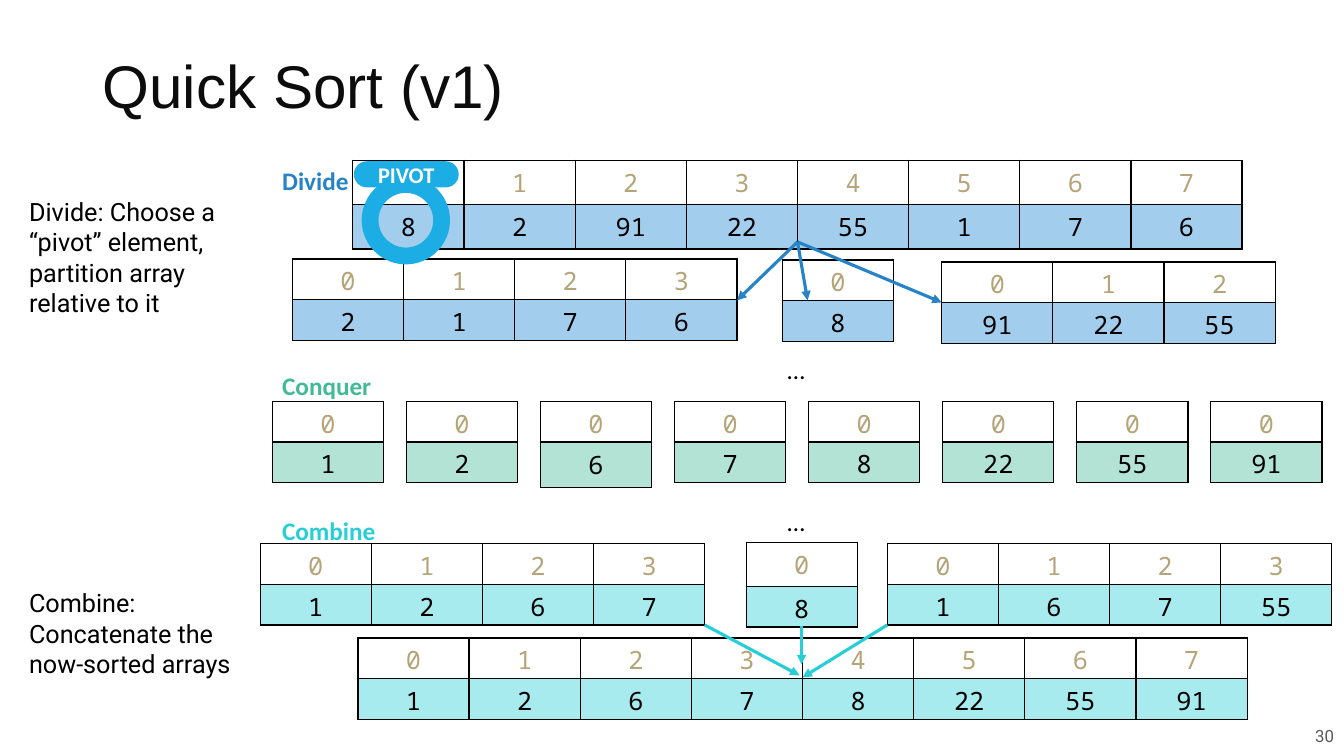
from dataclasses import dataclass

from lxml.etree import SubElement
from pptx import Presentation
from pptx.dml.color import RGBColor
from pptx.enum.shapes import MSO_CONNECTOR, MSO_SHAPE
from pptx.enum.text import MSO_ANCHOR, PP_ALIGN
from pptx.oxml.ns import qn
from pptx.util import Inches, Pt


@dataclass(frozen=True)
class Theme:
    """Colours, fonts and type sizes of the slide."""
    black: str = "000000"
    white: str = "FFFFFF"
    title: str = "0C0C0C"
    index: str = "B6A479"
    page: str = "595959"
    divide: str = "2683C6"
    divide_cell: str = "A2CDED"
    conquer: str = "42BA97"
    conquer_cell: str = "B2E3D5"
    combine: str = "27CED7"
    combine_cell: str = "A7EBEF"
    pivot: str = "1CADE4"
    heading_font: str = "Arial"
    label_font: str = "Calibri"
    note_font: str = "Roboto"
    array_font: str = "Noto Sans Mono"
    title_size: int = 43
    body_size: int = 18
    pivot_size: int = 16
    page_size: int = 12


THEME = Theme()
CELL_WIDTH = 1.1025
ROW_HEIGHT = 0.405


def rgb(code):
    """Turn a hex code into a colour."""
    return RGBColor.from_string(code)


def write(frame, text, *, font=THEME.label_font, size=THEME.body_size, color=THEME.black,
          bold=False, align=PP_ALIGN.LEFT, spacing=None):
    """Put one formatted paragraph into a text frame."""
    paragraph = frame.paragraphs[0]
    paragraph.alignment = align
    paragraph.line_spacing = spacing
    run = paragraph.add_run()
    run.text = text
    run.font.name = font
    run.font.size = Pt(size)
    run.font.bold = bold
    run.font.color.rgb = rgb(color)


def add_text(slide, box, text, anchor=MSO_ANCHOR.TOP, **text_format):
    """Add a wrapping text box."""
    frame = slide.shapes.add_textbox(*map(Inches, box)).text_frame
    frame.word_wrap = True
    frame.vertical_anchor = anchor
    write(frame, text, **text_format)


def outline_cell(cell):
    """Draw a thin black border on all four sides of a cell."""
    properties = cell._tc.get_or_add_tcPr()
    for position, side in enumerate(("a:lnL", "a:lnR", "a:lnT", "a:lnB")):
        border = properties.makeelement(qn(side), {"w": str(Pt(1))})
        fill = SubElement(border, qn("a:solidFill"))
        SubElement(fill, qn("a:srgbClr"), val=THEME.black)
        properties.insert(position, border)


def add_array(slide, left, top, values, color, heights=(ROW_HEIGHT, ROW_HEIGHT)):
    """Add an array as a row of indices over a row of values."""
    array = slide.shapes.add_table(
        2, len(values), Inches(left), Inches(top),
        Inches(CELL_WIDTH * len(values)), Inches(sum(heights))).table
    array.first_row = array.horz_banding = False
    for column in array.columns:
        column.width = Inches(CELL_WIDTH)
    rows = ((range(len(values)), THEME.index, THEME.white), (values, THEME.black, color))
    for row, (numbers, ink, fill) in enumerate(rows):
        array.rows[row].height = Inches(heights[row])
        for column, number in enumerate(numbers):
            cell = array.cell(row, column)
            cell.vertical_anchor = MSO_ANCHOR.MIDDLE
            cell.fill.solid()
            cell.fill.fore_color.rgb = rgb(fill)
            outline_cell(cell)
            write(cell.text_frame, str(number), font=THEME.array_font, color=ink,
                  align=PP_ALIGN.CENTER)


def add_arrow(slide, start, end, color):
    """Add a straight arrow from start to end."""
    arrow = slide.shapes.add_connector(MSO_CONNECTOR.STRAIGHT, *map(Inches, start + end))
    arrow.line.width = Pt(2.25)
    arrow.line.color.rgb = rgb(color)
    SubElement(arrow.line._get_or_add_ln(), qn("a:tailEnd"), type="triangle")
    SubElement(arrow._element.spPr, qn("a:effectLst"))


def add_pivot_marker(slide):
    """Ring the pivot value and tag it."""
    ring = slide.shapes.add_shape(MSO_SHAPE.OVAL, *map(Inches, (3.67, 1.83, 0.71, 0.71)))
    ring.shadow.inherit = False
    ring.fill.background()
    ring.line.color.rgb = rgb(THEME.pivot)
    ring.line.width = Pt(12)
    tag = slide.shapes.add_shape(
        MSO_SHAPE.ROUNDED_RECTANGLE, *map(Inches, (3.51, 1.6, 1.04, 0.26)))
    tag.adjustments[0] = 0.5
    tag.shadow.inherit = False
    tag.fill.solid()
    tag.fill.fore_color.rgb = rgb(THEME.pivot)
    tag.line.fill.background()
    tag.text_frame.vertical_anchor = MSO_ANCHOR.MIDDLE
    write(tag.text_frame, "PIVOT", size=THEME.pivot_size, color=THEME.white, bold=True,
          align=PP_ALIGN.CENTER)


def add_divide(slide):
    """Show the array split around its pivot."""
    add_array(slide, 3.5, 1.59, (8, 2, 91, 22, 55, 1, 7, 6), THEME.divide_cell, (0.44, 0.44))
    add_array(slide, 2.9, 2.57, (2, 1, 7, 6), THEME.divide_cell)
    add_array(slide, 7.76, 2.58, (8,), THEME.divide_cell)
    add_array(slide, 9.34, 2.6, (91, 22, 55), THEME.divide_cell)
    for end in ((7.31, 2.98), (8.01, 2.98), (9.34, 3)):
        add_arrow(slide, (7.91, 2.4), end, THEME.divide)
    add_pivot_marker(slide)


def add_conquer(slide):
    """Show the sorted single-element arrays."""
    for place, value in enumerate((1, 2, 6, 7, 8, 22, 55, 91)):
        value_height = 0.45 if value == 6 else ROW_HEIGHT
        add_array(slide, 2.7 + 1.33 * place, 3.98, (value,), THEME.conquer_cell,
                  (ROW_HEIGHT, value_height))


def add_combine(slide):
    """Show the sorted parts joined into one array."""
    add_array(slide, 2.58, 5.39, (1, 2, 6, 7), THEME.combine_cell)
    add_array(slide, 7.4, 5.38, (8,), THEME.combine_cell, (0.44, 0.4))
    add_array(slide, 8.8, 5.39, (1, 6, 7, 55), THEME.combine_cell)
    add_array(slide, 3.55, 6.33, (1, 2, 6, 7, 8, 22, 55, 91), THEME.combine_cell)
    for start, end in (((6.99, 6.2), (7.93, 6.7)), ((7.95, 6.21), (7.95, 6.59)),
                       ((8.8, 6.2), (7.96, 6.72))):
        add_arrow(slide, start, end, THEME.combine)


def main():
    """Build the slide and save it."""
    deck = Presentation()
    deck.slide_width, deck.slide_height = Inches(13.33), Inches(7.5)
    slide = deck.slides.add_slide(deck.slide_layouts[6])
    add_text(slide, (0.92, 0.49, 11.5, 0.83), "Quick Sort (v1)", MSO_ANCHOR.MIDDLE,
             font=THEME.heading_font, size=THEME.title_size, color=THEME.title, spacing=0.8)
    add_divide(slide)
    add_conquer(slide)
    add_combine(slide)
    for step, top, width, color in (("Divide", 1.59, 0.88, THEME.divide),
                                    ("Conquer", 3.62, 1.09, THEME.conquer),
                                    ("Combine", 5.06, 1.13, THEME.combine)):
        add_text(slide, (2.7, top, width, 0.4), step, color=color, bold=True)
    for top in (3.47, 4.97):
        add_text(slide, (7.71, top, 0.38, 0.4), "…")
    add_text(slide, (0.19, 1.9, 2.41, 1.31),
             "Divide: Choose a “pivot” element, partition array relative to it",
             font=THEME.note_font)
    add_text(slide, (0.19, 5.78, 2.3, 1.01), "Combine: Concatenate the now-sorted arrays",
             font=THEME.note_font)
    add_text(slide, (8.65, 7.1, 4.68, 0.4), "30", MSO_ANCHOR.MIDDLE, font=THEME.note_font,
             size=THEME.page_size, color=THEME.page, align=PP_ALIGN.RIGHT)
    deck.save("out.pptx")


if __name__ == "__main__":
    main()
